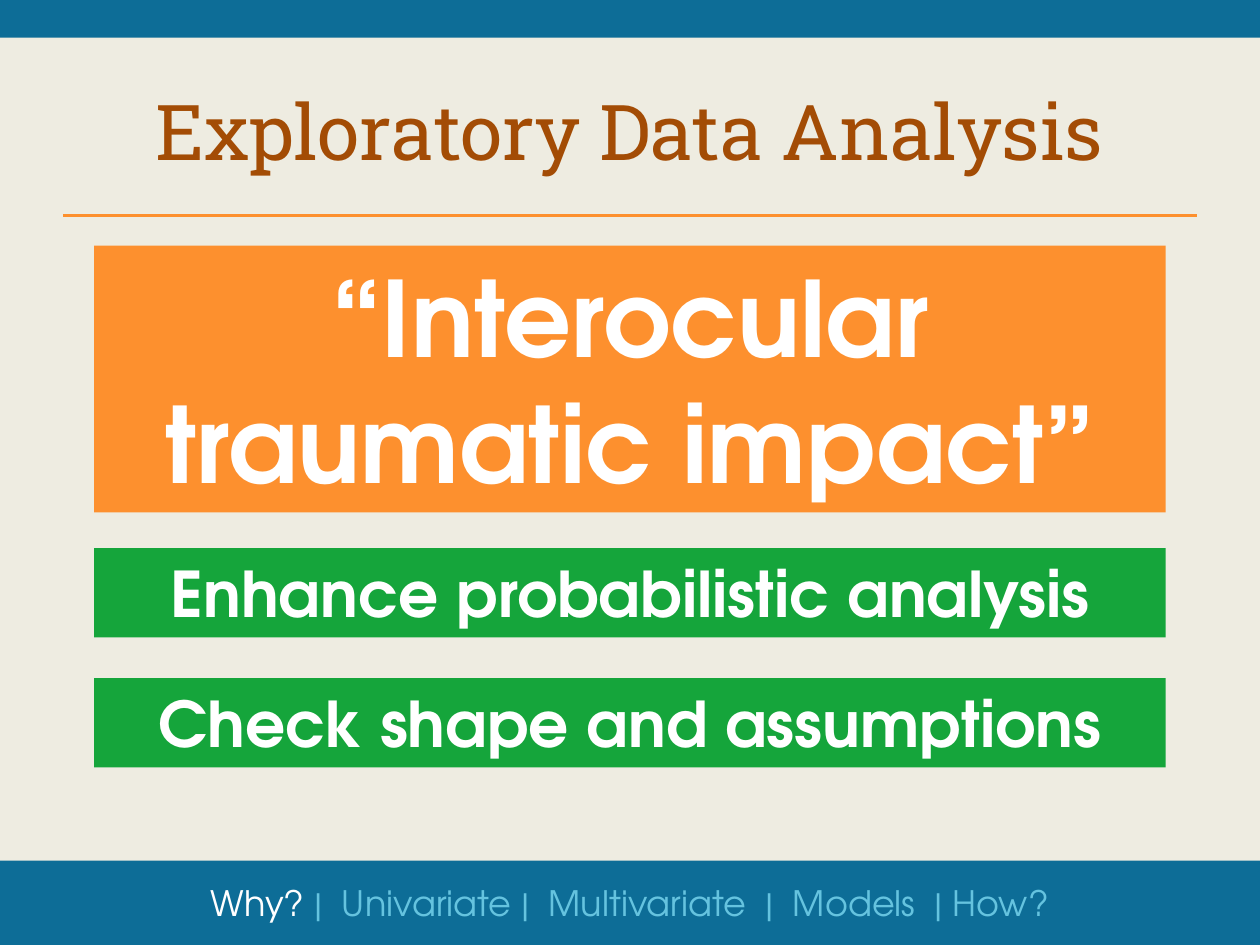
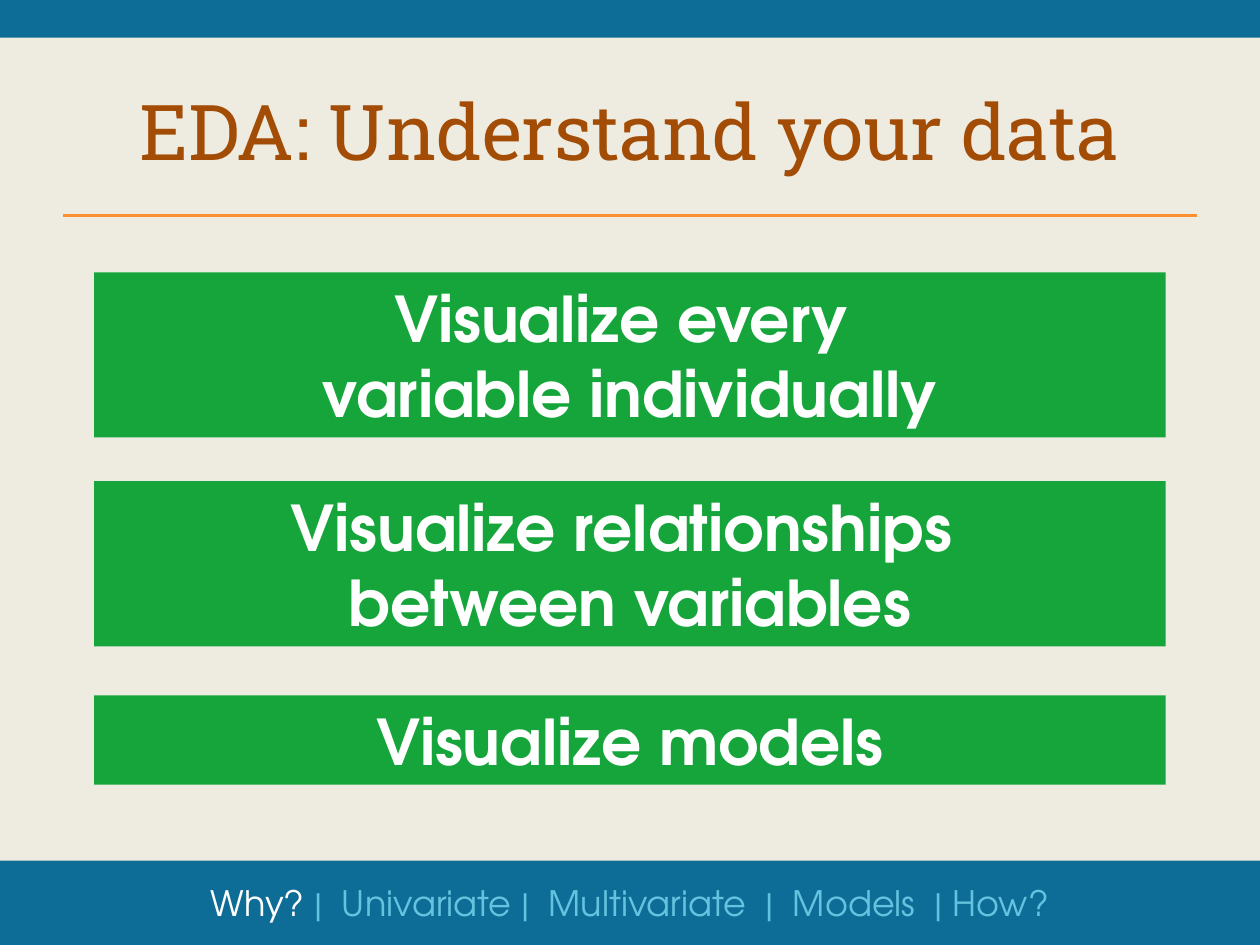
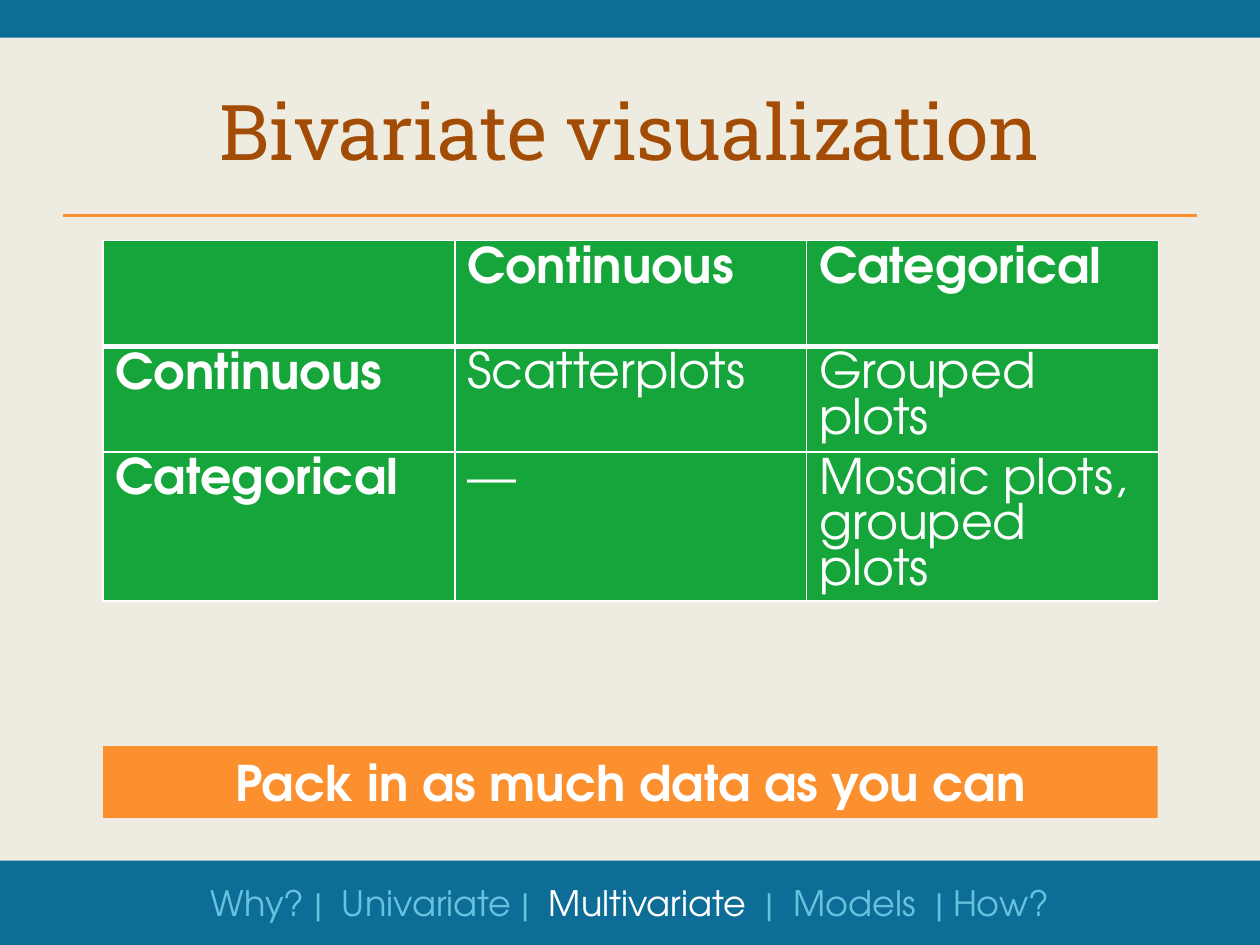
from typing import NamedTuple

from lxml.etree import SubElement
from pptx import Presentation
from pptx.dml.color import RGBColor
from pptx.enum.shapes import MSO_CONNECTOR as Connector, MSO_SHAPE as Shape
from pptx.enum.text import MSO_ANCHOR as Anchor, MSO_AUTO_SIZE as AutoSize, PP_ALIGN as Align
from pptx.oxml import parse_xml
from pptx.oxml.ns import nsdecls, qn
from pptx.util import Cm, Pt

# Shared look
COLORS = {
    "paper": "EEECE1",
    "band": "0D6D97",
    "accent": "FD902E",
    "title": "A34C05",
    "point": "15A53B",
    "white": "FFFFFF",
    "muted": "65C3DF",
}
TITLE_FONT = "Roboto Slab"
BODY_FONT = "TeX Gyre Adventor"
WIDTH, HEIGHT = 25.4, 19.05
MARGIN = 1.27
SECTIONS = "Why? |  Univariate |  Multivariate  |  Models  | How?"


class Box(NamedTuple):
    """A filled message box; lengths in centimetres, size in points."""
    text: str
    top: float
    height: float
    fill: str = "point"
    size: int = 36
    left: float = 1.9
    width: float = 21.6


class Page(NamedTuple):
    title: str
    section: str
    boxes: list[Box]
    table: list[list[str]] | None = None


# Content
PAGES = [
    Page("Exploratory Data Analysis", "Why?", [
        Box("“Interocular traumatic impact”", 4.95, 5.38, "accent", 60),
        Box("Enhance probabilistic analysis", 11.05, 1.8),
        Box("Check shape and assumptions", 13.67, 1.8),
    ]),
    Page("EDA: Understand your data", "Why?", [
        Box("Visualize every \vvariable individually", 5.49, 3.33),
        Box("Visualize relationships \vbetween variables", 9.7, 3.33),
        Box("Visualize models", 14.02, 1.8),
    ]),
    Page("Bivariate visualization", "Multivariate", [
        Box("Pack in as much data as you can", 15.04, 1.45, "accent", 28, 2.08, 21.26),
    ], [
        ["", "Continuous", "Categorical"],
        ["Continuous", "Scatterplots", "Grouped plots"],
        ["Categorical", "—", "Mosaic plots, grouped plots"],
    ]),
]


def rgb(name: str) -> RGBColor:
    return RGBColor.from_string(COLORS[name])


def style(r, size: int, color: str = "white", bold: bool = False, font: str = BODY_FONT) -> None:
    r.font.name, r.font.size, r.font.bold = font, Pt(size), bold
    r.font.color.rgb = rgb(color)


def add_rect(s, left: float, top: float, width: float, height: float, fill: str):
    sp = s.shapes.add_shape(Shape.RECTANGLE, Cm(left), Cm(top), Cm(width), Cm(height))
    sp.shadow.inherit = False
    sp.fill.solid()
    sp.fill.fore_color.rgb = rgb(fill)
    sp.line.fill.background()
    return sp


# Frame: bands, rule and title
def add_frame(s, title: str) -> None:
    add_rect(s, 0, 17.35, WIDTH, 1.7, "band")
    add_rect(s, 0, 0, WIDTH, 0.76, "band")
    rule = s.shapes.add_connector(Connector.STRAIGHT, Cm(MARGIN), Cm(4.34),
                                  Cm(WIDTH - MARGIN), Cm(4.34))
    rule.line.color.rgb = rgb("accent")
    rule.line.width = Pt(2)
    SubElement(rule._element.spPr, qn("a:effectLst"))

    sp = s.shapes.title
    sp.left, sp.top = Cm(MARGIN), Cm(1.27)
    sp.width, sp.height = Cm(WIDTH - 2 * MARGIN), Cm(2.67)
    tf = sp.text_frame
    tf.text = title
    tf.vertical_anchor = Anchor.MIDDLE
    p = tf.paragraphs[0]
    p.alignment = Align.CENTER
    style(p.runs[0], 44, "title", font=TITLE_FONT)


# Footer with the current section highlighted
def add_footer(s, section: str) -> None:
    sp = s.shapes.add_textbox(Cm(MARGIN), Cm(17.65), Cm(WIDTH - 2 * MARGIN), Cm(1.12))
    tf = sp.text_frame
    tf.word_wrap = True
    tf.auto_size = AutoSize.SHAPE_TO_FIT_TEXT
    p = tf.paragraphs[0]
    p.alignment = Align.CENTER
    for text in filter(None, SECTIONS.partition(section)):
        r = p.add_run()
        r.text = text
        style(r, 20, "white" if text == section else "muted")


def add_box(s, box: Box) -> None:
    sp = add_rect(s, box.left, box.top, box.width, box.height, box.fill)
    tf = sp.text_frame
    tf.text = box.text
    tf.word_wrap = True
    tf.auto_size = AutoSize.SHAPE_TO_FIT_TEXT
    p = tf.paragraphs[0]
    p.alignment = Align.CENTER
    for r in p.runs:
        style(r, box.size, bold=True)


# Table
def set_borders(cell, row: int) -> None:
    widths = {"lnL": 1, "lnR": 1, "lnT": 3 if row == 1 else 1, "lnB": 3 if row == 0 else 1}
    tc_pr = cell._tc.get_or_add_tcPr()
    for i, (side, width) in enumerate(widths.items()):
        tc_pr.insert(i, parse_xml(
            f'<a:{side} {nsdecls("a")} w="{Pt(width)}"><a:solidFill>'
            f'<a:srgbClr val="{COLORS["white"]}"/></a:solidFill></a:{side}>'))


def add_grid(s, rows: list[list[str]]) -> None:
    row_height, col_width = 2.13, 7.09
    n_rows, n_cols = len(rows), len(rows[0])
    table = s.shapes.add_table(n_rows, n_cols, Cm(2.08), Cm(4.85),
                               Cm(n_cols * col_width), Cm(n_rows * row_height)).table
    table.horz_banding = False
    for i, row in enumerate(rows):
        for j, text in enumerate(row):
            cell = table.cell(i, j)
            cell.fill.solid()
            cell.fill.fore_color.rgb = rgb("point")
            set_borders(cell, i)
            p = cell.text_frame.paragraphs[0]
            p.text = text
            p.line_spacing = Pt(26)
            for r in p.runs:
                style(r, 28, bold=i == 0 or j == 0)


def main() -> None:
    prs = Presentation()
    prs.slide_width, prs.slide_height = Cm(WIDTH), Cm(HEIGHT)
    background = prs.slide_master.background.fill
    background.solid()
    background.fore_color.rgb = rgb("paper")
    title_only = prs.slide_layouts.get_by_name("Title Only")
    for page in PAGES:
        s = prs.slides.add_slide(title_only)
        add_frame(s, page.title)
        if page.table:
            add_grid(s, page.table)
        for box in page.boxes:
            add_box(s, box)
        add_footer(s, page.section)
    prs.save("out.pptx")


if __name__ == "__main__":
    main()
